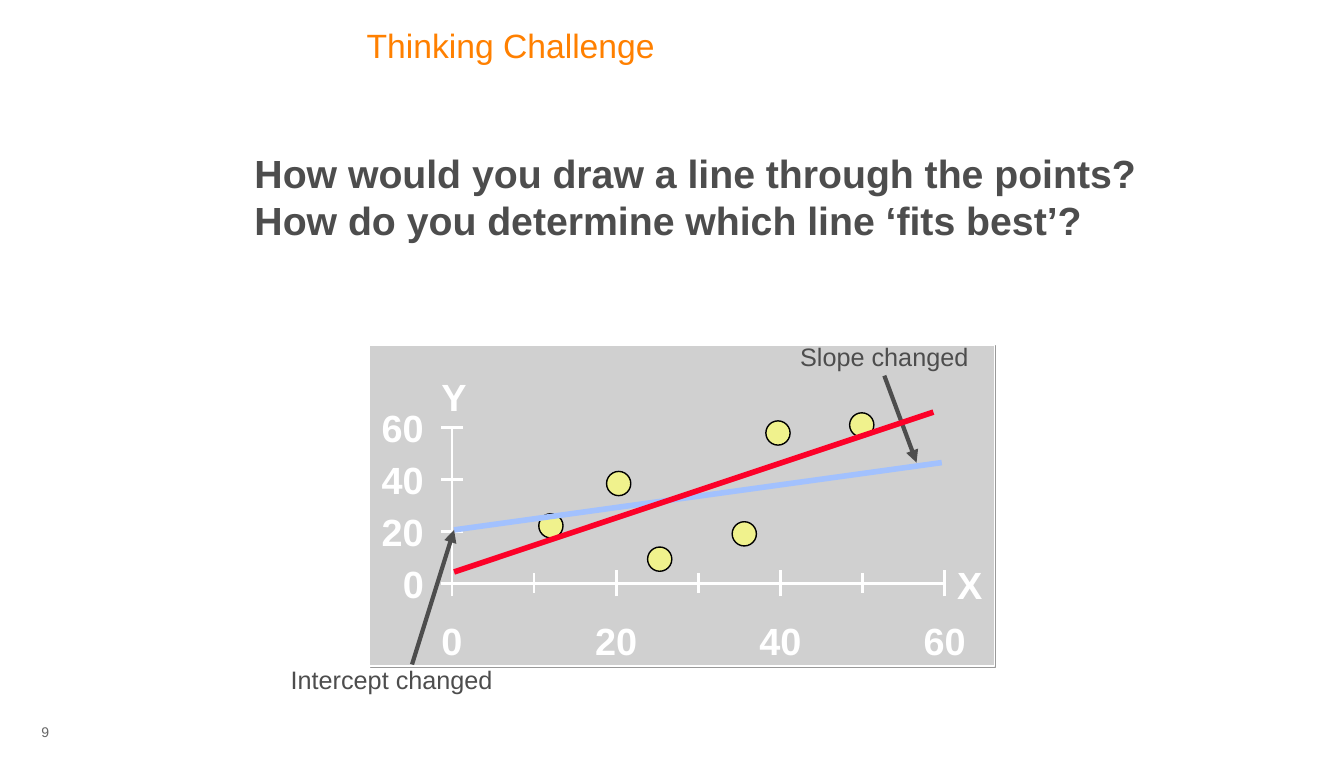
from dataclasses import dataclass

from lxml.etree import SubElement
from pptx import Presentation
from pptx.dml.color import RGBColor
from pptx.enum.shapes import MSO_CONNECTOR, MSO_SHAPE
from pptx.enum.text import MSO_ANCHOR, PP_ALIGN
from pptx.oxml.ns import qn
from pptx.util import Pt


@dataclass(frozen=True)
class Theme:
    font: str = "Arial"
    title: str = "FF8000"
    ink: str = "4D4D4D"
    number: str = "666666"
    panel: str = "D0D0D0"
    panel_shadow: str = "999999"
    axis: str = "FFFFFF"
    dot: str = "F0F28D"
    dot_line: str = "000000"
    flat_line: str = "A2C1FE"
    steep_line: str = "FC0128"
    question_size: int = 28
    axis_size: int = 27
    title_size: int = 24
    note_size: int = 18
    number_size: int = 10


class SlideBuilder:
    def __init__(self, slide, theme):
        self.slide = slide
        self.theme = theme

    def text(self, text, left, top, width, height, *, size, color, bold=False,
             align=PP_ALIGN.LEFT, anchor=MSO_ANCHOR.TOP, inset=3.6):
        shape = self.slide.shapes.add_textbox(Pt(left), Pt(top), Pt(width), Pt(height))
        frame = shape.text_frame
        frame.word_wrap = True
        frame.vertical_anchor = anchor
        frame.margin_left = frame.margin_right = Pt(inset)
        frame.margin_top = frame.margin_bottom = Pt(inset)
        paragraph = frame.paragraphs[0]
        paragraph.text = text
        paragraph.alignment = align
        font = paragraph.font
        font.name, font.size, font.bold = self.theme.font, Pt(size), bold
        font.color.rgb = RGBColor.from_string(color)
        return shape

    def axis_label(self, text, center_x, center_y, align=PP_ALIGN.CENTER):
        width, height = 44, 38
        return self.text(text, center_x - width / 2, center_y - height / 2, width, height,
                         size=self.theme.axis_size, color=self.theme.axis, bold=True,
                         align=align, anchor=MSO_ANCHOR.MIDDLE)

    def note(self, text, left, top, width):
        return self.text(text, left, top, width, 28, size=self.theme.note_size,
                         color=self.theme.ink, align=PP_ALIGN.CENTER)

    def shape(self, kind, left, top, width, height, fill, outline):
        shape = self.slide.shapes.add_shape(kind, Pt(left), Pt(top), Pt(width), Pt(height))
        shape.shadow.inherit = False
        shape.fill.solid()
        shape.fill.fore_color.rgb = RGBColor.from_string(fill)
        shape.line.color.rgb = RGBColor.from_string(outline)
        shape.line.width = Pt(1)
        return shape

    def drop_shadow(self, shape, color, distance):
        effects = shape._element.spPr.find(qn("a:effectLst"))
        shadow = SubElement(effects, qn("a:outerShdw"), blurRad="0",
                            dist=str(Pt(distance)), dir="2700000", algn="ctr")
        SubElement(shadow, qn("a:srgbClr"), val=color)

    def line(self, start, end, color, width, arrow=False):
        line = self.slide.shapes.add_connector(
            MSO_CONNECTOR.STRAIGHT, *(Pt(value) for value in (*start, *end)))
        line.line.color.rgb = RGBColor.from_string(color)
        line.line.width = Pt(width)
        if arrow:
            SubElement(line.line._get_or_add_ln(), qn("a:tailEnd"), type="triangle")
        SubElement(line._element.spPr, qn("a:effectLst"))
        return line


# Plot scale: position of the origin and points per unit
ORIGIN_X, ORIGIN_Y = 322.5, 416
UNIT_X, UNIT_Y = 5.86, 1.85
AXIS_END = 60
DATA = [(25.3, 9.25), (49.9, 61), (20.3, 38.4), (39.7, 57.9), (35.6, 19), (12.05, 22.1)]


def plot_x(value):
    return ORIGIN_X + value * UNIT_X


def plot_y(value):
    return ORIGIN_Y - value * UNIT_Y


def draw_axes(builder):
    color = builder.theme.axis
    origin = (ORIGIN_X, ORIGIN_Y)
    builder.line((ORIGIN_X, plot_y(AXIS_END)), origin, color, 2)
    builder.line(origin, (plot_x(AXIS_END), ORIGIN_Y), color, 2)
    for value in range(0, AXIS_END + 1, 10):
        x, y = plot_x(value), plot_y(value)
        labelled = value % 20 == 0
        half = 9.4 if labelled else 7.2
        builder.line((x, ORIGIN_Y + half), (x, ORIGIN_Y - half), color, 2)
        if labelled:
            builder.line((ORIGIN_X - 7.6, y), (ORIGIN_X + 7.6, y), color, 2)
            builder.axis_label(str(value), 284, y, align=PP_ALIGN.RIGHT)
            builder.axis_label(str(value), x, 456.5)
    builder.axis_label("X", 692, 417)
    builder.axis_label("Y", 324, 282.5)


def main():
    presentation = Presentation()
    presentation.slide_width, presentation.slide_height = Pt(959), Pt(540)
    slide = presentation.slides.add_slide(presentation.slide_layouts[6])
    theme = Theme()
    builder = SlideBuilder(slide, theme)

    # Slide number, title and question
    builder.text("9", 29.5, 516, 14, 12, size=theme.number_size, color=theme.number, inset=0)
    builder.text("Thinking Challenge", 258, 14, 558, 88,
                 size=theme.title_size, color=theme.title)
    builder.text("How would you draw a line through the points? "
                 "How do you determine which line ‘fits best’?",
                 178, 103, 655, 70, size=theme.question_size, color=theme.ink, bold=True)

    # Plot panel and axes
    panel = builder.shape(MSO_SHAPE.RECTANGLE, 263.5, 246, 446, 229, theme.panel, theme.axis)
    builder.drop_shadow(panel, theme.panel_shadow, 1.4)
    draw_axes(builder)

    # Data points
    diameter = 17.3
    for x, y in DATA:
        builder.shape(MSO_SHAPE.OVAL, plot_x(x) - diameter / 2, plot_y(y) - diameter / 2,
                      diameter, diameter, theme.dot, theme.dot_line)

    # Candidate lines with their notes
    builder.line((324, 378), (672, 330), theme.flat_line, 4)
    slope_note = builder.note("Slope changed", 566, 240, 130)
    slope_arrow = builder.line((631, 268), (654, 330), theme.ink, 3, arrow=True)
    slope_arrow.begin_connect(slope_note, 2)
    builder.note("Intercept changed", 202, 470, 155)
    builder.line((294, 474), (324, 378), theme.ink, 3, arrow=True)
    builder.line((324, 408), (666, 294), theme.steep_line, 4)

    presentation.save("out.pptx")


if __name__ == "__main__":
    main()
